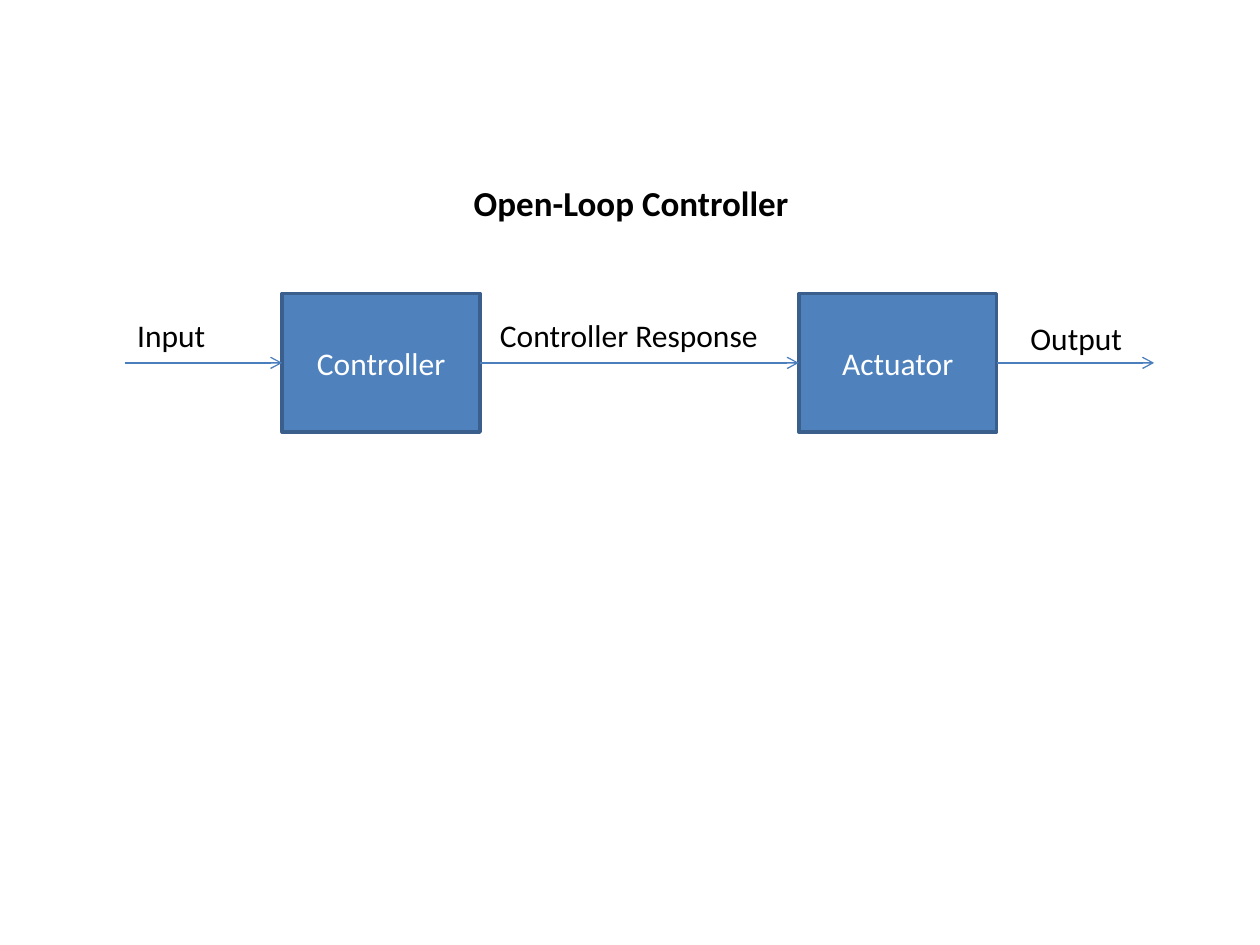
from dataclasses import dataclass

from lxml.etree import SubElement
from pptx import Presentation
from pptx.dml.color import RGBColor
from pptx.enum.shapes import MSO_CONNECTOR, MSO_SHAPE
from pptx.enum.text import MSO_ANCHOR, MSO_AUTO_SIZE, PP_ALIGN
from pptx.oxml.ns import qn
from pptx.util import Inches, Pt


@dataclass(frozen=True)
class Theme:
    font: str = "Calibri"
    text: str = "000000"
    light: str = "FFFFFF"
    fill: str = "4F81BD"
    edge: str = "3A5F8C"
    arrow: str = "4B7EBC"
    title_size: float = 20
    body_size: float = 18
    edge_width: float = 2
    arrow_width: float = 0.75


class Diagram:
    def __init__(self, slide, theme):
        self.slide = slide
        self.shapes = slide.shapes
        self.theme = theme

    def set_text(self, frame, text, size, color, align=PP_ALIGN.LEFT,
                 anchor=MSO_ANCHOR.TOP, bold=False):
        frame.text = text
        frame.vertical_anchor = anchor
        line = frame.paragraphs[0]
        line.alignment = align
        font = line.runs[0].font
        font.name = self.theme.font
        font.size = Pt(size)
        font.bold = bold
        font.color.rgb = RGBColor.from_string(color)

    def title(self, text, left, top, width, height):
        title = self.shapes.title
        title.left, title.top = Inches(left), Inches(top)
        title.width, title.height = Inches(width), Inches(height)
        self.set_text(title.text_frame, text, self.theme.title_size,
                      self.theme.text, bold=True)
        title.text_frame.auto_size = MSO_AUTO_SIZE.NONE

    def block(self, text, left, top, width, height):
        block = self.shapes.add_shape(
            MSO_SHAPE.RECTANGLE, Inches(left), Inches(top),
            Inches(width), Inches(height))
        block.shadow.inherit = False
        block.fill.solid()
        block.fill.fore_color.rgb = RGBColor.from_string(self.theme.fill)
        block.line.color.rgb = RGBColor.from_string(self.theme.edge)
        block.line.width = Pt(self.theme.edge_width)
        self.set_text(block.text_frame, text, self.theme.body_size,
                      self.theme.light, PP_ALIGN.CENTER, MSO_ANCHOR.MIDDLE)
        return block

    def label(self, text, left, top, width, height=0.4):
        box = self.shapes.add_textbox(
            Inches(left), Inches(top), Inches(width), Inches(height))
        frame = box.text_frame
        frame.word_wrap = False
        frame.auto_size = MSO_AUTO_SIZE.SHAPE_TO_FIT_TEXT
        self.set_text(frame, text, self.theme.body_size, self.theme.text)

    def arrow(self, start, end, y, source=None, target=None):
        """Draw a level arrow, joined to the source's right and target's left."""
        arrow = self.shapes.add_connector(
            MSO_CONNECTOR.STRAIGHT, Inches(start), Inches(y),
            Inches(end), Inches(y))
        if source is not None:
            arrow.begin_connect(source, 3)
        if target is not None:
            arrow.end_connect(target, 1)
        arrow.line.color.rgb = RGBColor.from_string(self.theme.arrow)
        arrow.line.width = Pt(self.theme.arrow_width)
        props = arrow.element.spPr
        SubElement(props.find(qn("a:ln")), qn("a:tailEnd"), type="arrow")
        SubElement(props, qn("a:effectLst"))


def main():
    deck = Presentation()
    deck.slide_width, deck.slide_height = Inches(10), Inches(7.5)
    slide = deck.slides.add_slide(deck.slide_layouts[5])
    loop = Diagram(slide, Theme())

    top, width, height = 2.33, 1.57, 1.1
    first, second = 2.24, 6.34
    reach = 1.25
    middle = top + height / 2
    outlet = second + width

    loop.title("Open-Loop Controller", 3.66, 1.39, 2.82, 0.44)
    control = loop.block("Controller", first, top, width, height)
    act = loop.block("Actuator", second, top, width, height)

    loop.arrow(first - reach, first, middle, target=control)
    loop.arrow(first + width, second, middle, control, act)
    loop.arrow(outlet, outlet + reach, middle, source=act)

    loop.label("Input", first - reach, 2.46, 0.75)
    loop.label("Controller Response", 3.87, 2.46, 2.27)
    loop.label("Output", 8.08, 2.48, 0.94)

    deck.save("out.pptx")


if __name__ == "__main__":
    main()
